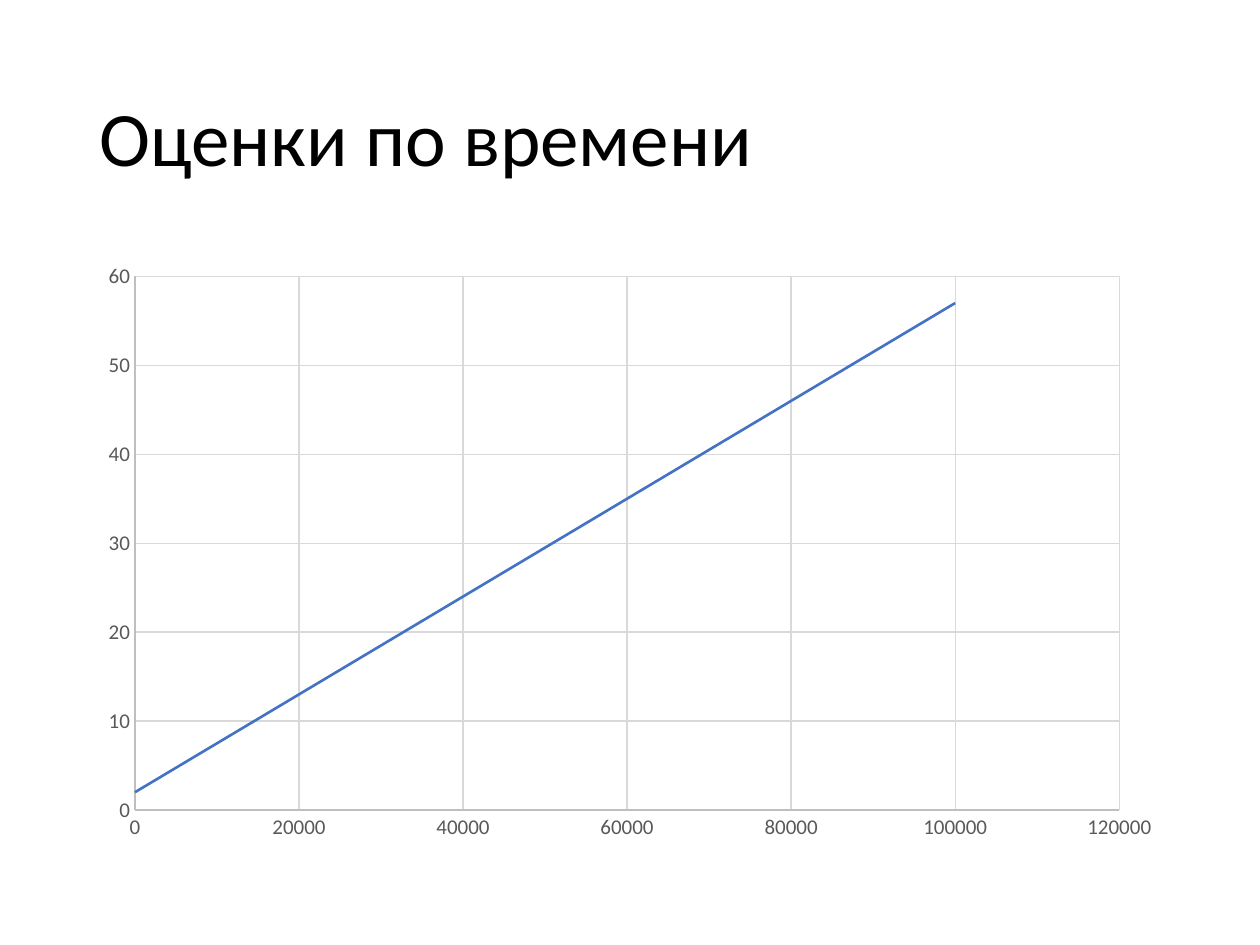
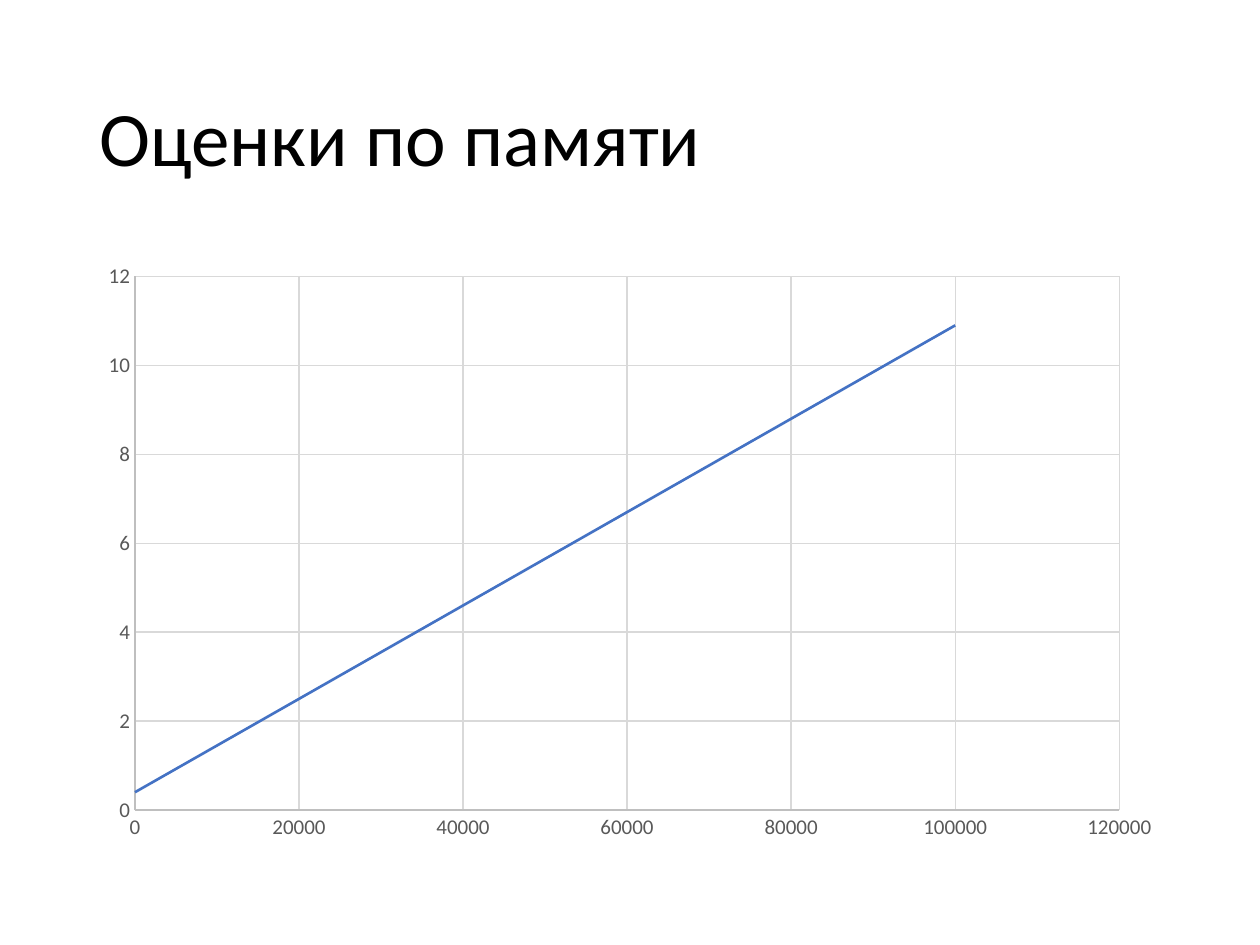
"""Build two slides that chart time and memory estimates."""
import dataclasses
import typing

import pptx
import pptx.chart.axis
import pptx.chart.data
import pptx.dml.color
import pptx.dml.line
import pptx.enum.chart
import pptx.enum.text
import pptx.slide
import pptx.util

BLACK = pptx.dml.color.RGBColor(0x00, 0x00, 0x00)
GREY = pptx.dml.color.RGBColor(0x59, 0x59, 0x59)
EDGE = pptx.dml.color.RGBColor(0xBF, 0xBF, 0xBF)
GRID = pptx.dml.color.RGBColor(0xD9, 0xD9, 0xD9)
BLUE = pptx.dml.color.RGBColor(0x44, 0x72, 0xC4)

FACE = "Calibri"
DPI = 126
TITLE_ONLY = 5
KIND = pptx.enum.chart.XL_CHART_TYPE.XY_SCATTER_SMOOTH_NO_MARKERS


@dataclasses.dataclass(frozen=True)
class Box:
    """A frame in px."""
    left: int
    top: int
    width: int
    height: int


@dataclasses.dataclass(frozen=True)
class Page:
    """A slide title with its line and value scale."""
    title: str
    name: str
    dots: tuple[tuple[float, float], ...]
    peak: int
    step: int


TITLE = Box(87, 50, 1086, 183)
PLOT = Box(87, 252, 1086, 600)
PAGES = (
    Page("Оценки по времени", "Время", ((0, 2), (100000, 57)), 60, 10),
    Page("Оценки по памяти", "Память", ((0, 0.4), (100000, 10.9)), 12, 2),
)

TITLE_FONT = {"name": FACE, "size": pptx.util.Pt(44), "bold": False}
CHART_FONT = {"name": FACE, "size": pptx.util.Pt(10)}
AXIS_FONT = {"name": FACE, "size": pptx.util.Pt(12), "bold": False}
FRAME = {
    "word_wrap": True,
    "vertical_anchor": pptx.enum.text.MSO_ANCHOR.MIDDLE,
    "auto_size": pptx.enum.text.MSO_AUTO_SIZE.NONE,
}
PARA = {"alignment": pptx.enum.text.PP_ALIGN.LEFT, "line_spacing": 0.9}
CHART = {"has_title": False, "has_legend": False}
AXIS = {
    "has_major_gridlines": True,
    "has_minor_gridlines": False,
    "major_tick_mark": pptx.enum.chart.XL_TICK_MARK.NONE,
    "minor_tick_mark": pptx.enum.chart.XL_TICK_MARK.NONE,
    "minimum_scale": 0,
}


def px(size: int) -> int:
    """Turn px into EMU."""
    return round(size * pptx.util.Inches(1) / DPI)


def place(box: Box) -> dict[str, int]:
    """Give the EMU values of a box."""
    return {key: px(size) for key, size in dataclasses.asdict(box).items()}


def apply(item: typing.Any, look: dict[str, typing.Any]) -> None:
    """Set each format value on the item."""
    for key, value in look.items():
        setattr(item, key, value)


def ink(line: pptx.dml.line.LineFormat, tone: pptx.dml.color.RGBColor,
        width: float) -> None:
    """Draw a line in one colour and width."""
    line.color.rgb = tone
    line.width = pptx.util.Pt(width)


def draw_title(slide: pptx.slide.Slide, words: str) -> None:
    """Fill and place the title."""
    title = slide.shapes.title
    apply(title, place(TITLE))
    frame = title.text_frame
    frame.text = words
    apply(frame, FRAME)
    para = frame.paragraphs[0]
    apply(para, PARA)
    font = para.runs[0].font
    apply(font, TITLE_FONT)
    font.color.rgb = BLACK


def style_axis(axis: pptx.chart.axis.ValueAxis, peak: int, step: int) -> None:
    """Set the scale, grid and labels of an axis."""
    apply(axis, AXIS | {"maximum_scale": peak, "major_unit": step})
    ink(axis.format.line, EDGE, 0.75)
    ink(axis.major_gridlines.format.line, GRID, 0.75)
    font = axis.tick_labels.font
    apply(font, AXIS_FONT)
    font.color.rgb = GREY


def draw_chart(slide: pptx.slide.Slide, page: Page) -> None:
    """Plot the line of a page."""
    data = pptx.chart.data.XyChartData()
    line = data.add_series(page.name)
    for x, y in page.dots:
        line.add_data_point(x, y)
    spot = place(PLOT)
    chart = slide.shapes.add_chart(KIND, *spot.values(), data).chart
    apply(chart, CHART)
    apply(chart.font, CHART_FONT)
    chart.font.color.rgb = BLACK
    style_axis(chart.category_axis, 120000, 20000)
    style_axis(chart.value_axis, page.peak, page.step)
    plot = chart.plots[0]
    plot.vary_by_categories = False
    curve = plot.series[0]
    curve.smooth = True
    curve.marker.style = pptx.enum.chart.XL_MARKER_STYLE.NONE
    ink(curve.format.line, BLUE, 1.5)


def main() -> None:
    """Build and save the deck."""
    deck = pptx.Presentation()
    apply(deck, {"slide_width": px(1260), "slide_height": px(945)})
    for page in PAGES:
        slide = deck.slides.add_slide(deck.slide_layouts[TITLE_ONLY])
        draw_title(slide, page.title)
        draw_chart(slide, page)
    deck.save("out.pptx")


if __name__ == "__main__":
    main()
